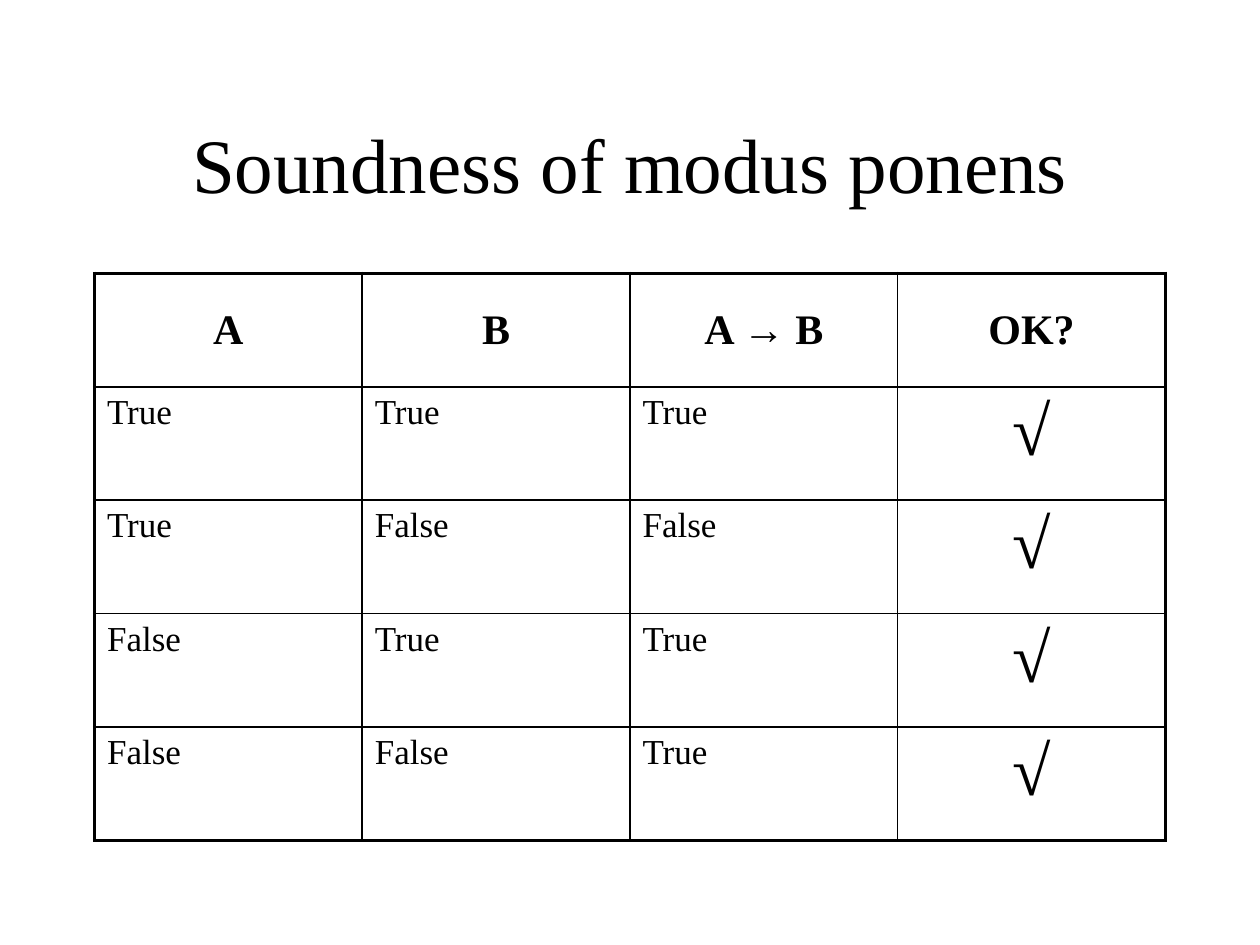
from lxml import etree
from pptx import Presentation
from pptx.dml.color import RGBColor
from pptx.enum.text import MSO_ANCHOR, PP_ALIGN
from pptx.oxml.ns import qn
from pptx.util import Inches, Pt

CENTER, LEFT = PP_ALIGN.CENTER, PP_ALIGN.LEFT
TOP, MIDDLE = MSO_ANCHOR.TOP, MSO_ANCHOR.MIDDLE
FONT = "Times New Roman"
BLACK = "000000"
THIN, THICK = 1, 2.25
TITLE_ONLY = 5

TRUTH_TABLE = [
    ["A", "B", "A → B", "OK?"],
    ["True", "True", "True", "√"],
    ["True", "False", "False", "√"],
    ["False", "True", "True", "√"],
    ["False", "False", "True", "√"],
]


def color(value):
    return RGBColor.from_string(value)


def format_paragraph(para, size, bold, align):
    para.alignment = align
    para.font.name = FONT
    para.font.size = Pt(size)
    para.font.bold = bold
    para.font.color.rgb = color(BLACK)


def add_border(cell, side, width):
    properties = cell._tc.get_or_add_tcPr()
    line = etree.SubElement(properties, qn(f"a:ln{side}"), w=str(Pt(width)))
    fill = etree.SubElement(line, qn("a:solidFill"))
    etree.SubElement(fill, qn("a:srgbClr"), val=BLACK)


def place_title(page, text, left, top, width, height):
    title = page.shapes.title
    title.left, title.top, title.width, title.height = left, top, width, height
    title.text_frame.text = text
    title.text_frame.vertical_anchor = MIDDLE
    format_paragraph(title.text_frame.paragraphs[0], 44, False, CENTER)


def place_truth_table(page, rows, left, top, width, height):
    last_row, last_column = len(rows) - 1, len(rows[0]) - 1
    table = page.shapes.add_table(
        len(rows), len(rows[0]), left, top, width, height
    ).table
    table.first_row = table.horz_banding = False
    for r, row in enumerate(rows):
        for c, text in enumerate(row):
            cell = table.cell(r, c)
            outer_sides = {
                "L": c == 0,
                "R": c == last_column,
                "T": r == 0,
                "B": r == last_row,
            }
            for side, outer in outer_sides.items():
                add_border(cell, side, THICK if outer else THIN)
            cell.fill.background()
            cell.text = text
            para = cell.text_frame.paragraphs[0]
            cell.vertical_anchor = MIDDLE if r == 0 else TOP
            if r == 0:
                format_paragraph(para, 24, True, CENTER)
            elif c == last_column:
                format_paragraph(para, 40, True, CENTER)
            else:
                format_paragraph(para, 20, False, LEFT)


def main():
    deck = Presentation()
    deck.slide_width, deck.slide_height = Inches(10), Inches(7.5)
    page = deck.slides.add_slide(deck.slide_layouts[TITLE_ONLY])
    left, width = Inches(0.75), Inches(8.5)
    place_title(page, "Soundness of modus ponens",
                left, Inches(0.67), width, Inches(1.25))
    place_truth_table(page, TRUTH_TABLE, left, Inches(2.17), width, Inches(4.5))
    deck.save("out.pptx")


if __name__ == "__main__":
    main()
